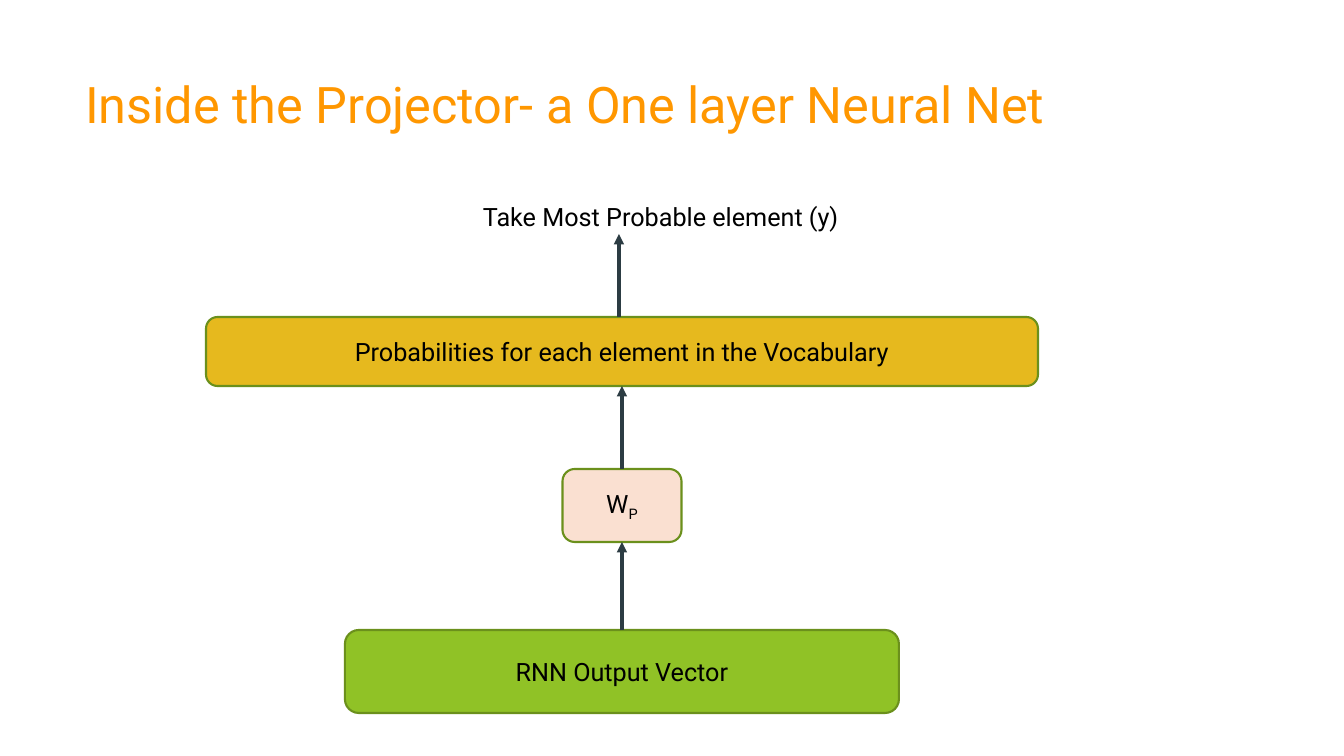
from dataclasses import dataclass

from lxml import etree
from pptx import Presentation
from pptx.dml.color import RGBColor
from pptx.enum.shapes import MSO_CONNECTOR, MSO_SHAPE
from pptx.enum.text import MSO_ANCHOR, PP_ALIGN
from pptx.oxml.ns import qn
from pptx.util import Emu, Pt

ROUND, STRAIGHT = MSO_SHAPE.ROUNDED_RECTANGLE, MSO_CONNECTOR.STRAIGHT
TOP, MIDDLE = MSO_ANCHOR.TOP, MSO_ANCHOR.MIDDLE
LEFT, CENTER = PP_ALIGN.LEFT, PP_ALIGN.CENTER


@dataclass(frozen=True)
class Theme:
    font: str = "Roboto"
    title: str = "FF9700"
    text: str = "000000"
    border: str = "6B901C"
    arrow: str = "2C3C43"
    output: str = "90C226"
    weights: str = "FAE0D1"
    probs: str = "E6B91E"
    title_size: int = 36
    body_size: int = 18
    border_width: float = 1.5
    arrow_width: float = 2.5


T = Theme()
TITLE = ("Inside the Projector- a One layer Neural Net", (75, 68, 1070, 145))
RESULT = ("Take Most Probable element (y)", (473, 196, 408, 40))
AXIS = 622
RESULT_ARROW = (619, 234)
LAYERS = [
    ([("RNN Output Vector", False)], 630, 554, 83, T.output),
    ([("W", False), ("P", True)], 469, 119, 73, T.weights),
    ([("Probabilities for each element in the Vocabulary", False)], 317, 832, 69, T.probs),
]


def px(n):
    return Emu(round(n * 914400 / 100.8))


def rgb(value):
    return RGBColor.from_string(value)


def write(tf, runs, size, color, align, anchor):
    tf.word_wrap = True
    tf.vertical_anchor = anchor
    p = tf.paragraphs[0]
    p.alignment = align
    for text, subscript in runs:
        r = p.add_run()
        r.text = text
        r.font.name = T.font
        r.font.size = Pt(size)
        r.font.color.rgb = rgb(color)
        if subscript:
            r._r.get_or_add_rPr().set("baseline", "-25000")


def add_layer(s, runs, top, width, height, fill):
    sp = s.shapes.add_shape(ROUND, px(AXIS - width / 2), px(top), px(width), px(height))
    sp.shadow.inherit = False
    sp.fill.solid()
    sp.fill.fore_color.rgb = rgb(fill)
    sp.line.color.rgb = rgb(T.border)
    sp.line.width = Pt(T.border_width)
    write(sp.text_frame, runs, T.body_size, T.text, CENTER, MIDDLE)


def add_arrow(s, x, start, end):
    line = s.shapes.add_connector(STRAIGHT, px(x), px(start), px(x), px(end))
    line.line.color.rgb = rgb(T.arrow)
    line.line.width = Pt(T.arrow_width)
    etree.SubElement(line.line._get_or_add_ln(), qn("a:tailEnd"), type="triangle")
    etree.SubElement(line._element.spPr, qn("a:effectLst"))


def main():
    prs = Presentation()
    prs.slide_width, prs.slide_height = px(1344), px(756)
    s = prs.slides.add_slide(prs.slide_layouts[5])

    for layer in LAYERS:
        add_layer(s, *layer)
    for (_, start, *_), (_, top, _, height, _) in zip(LAYERS, LAYERS[1:]):
        add_arrow(s, AXIS, start, top + height)
    x, end = RESULT_ARROW
    add_arrow(s, x, LAYERS[-1][1], end)

    text, box = RESULT
    sp = s.shapes.add_textbox(*map(px, box))
    write(sp.text_frame, [(text, False)], T.body_size, T.text, LEFT, TOP)

    text, box = TITLE
    sp = s.shapes.title
    sp.left, sp.top, sp.width, sp.height = map(px, box)
    write(sp.text_frame, [(text, False)], T.title_size, T.title, LEFT, TOP)

    prs.save("out.pptx")


if __name__ == "__main__":
    main()
